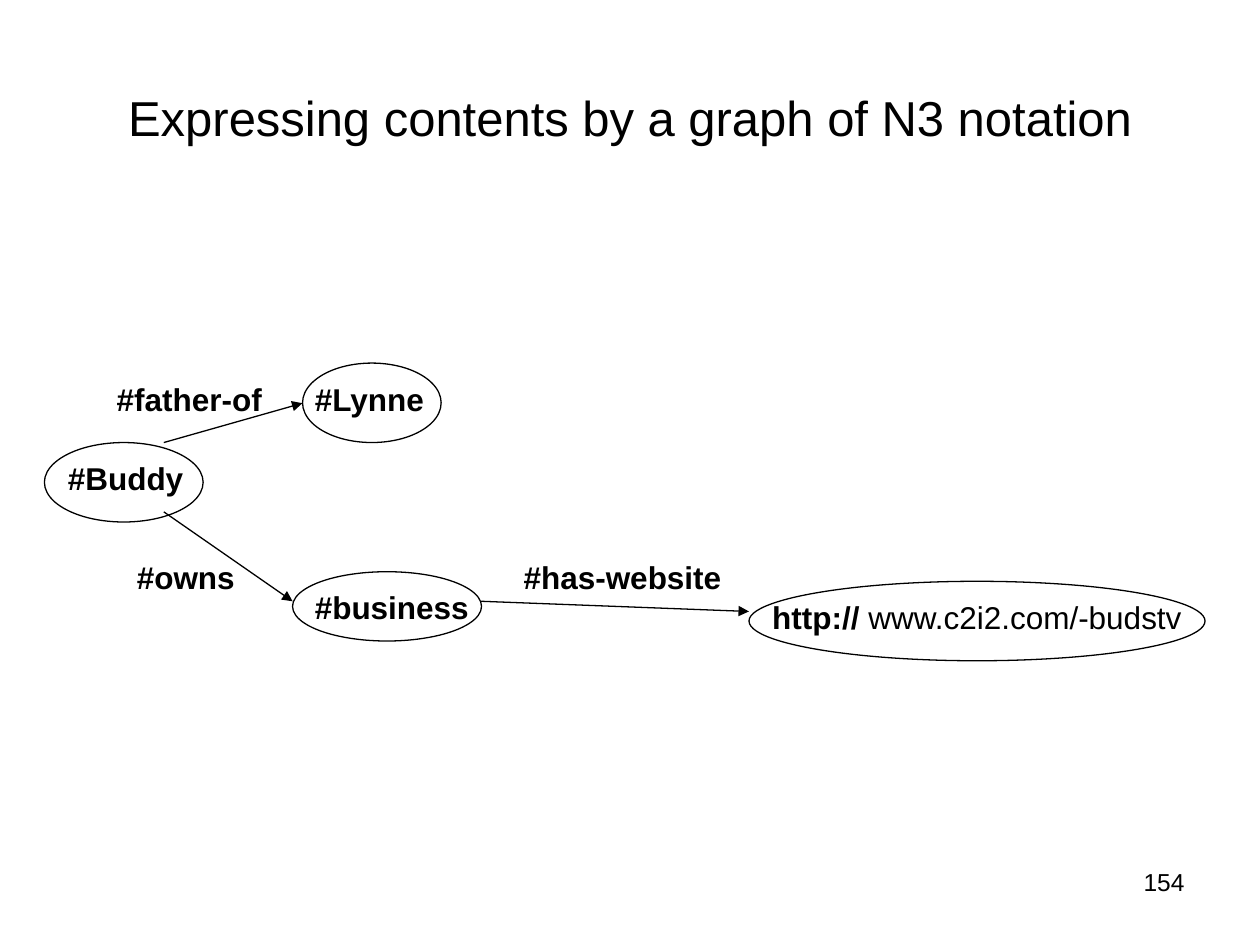
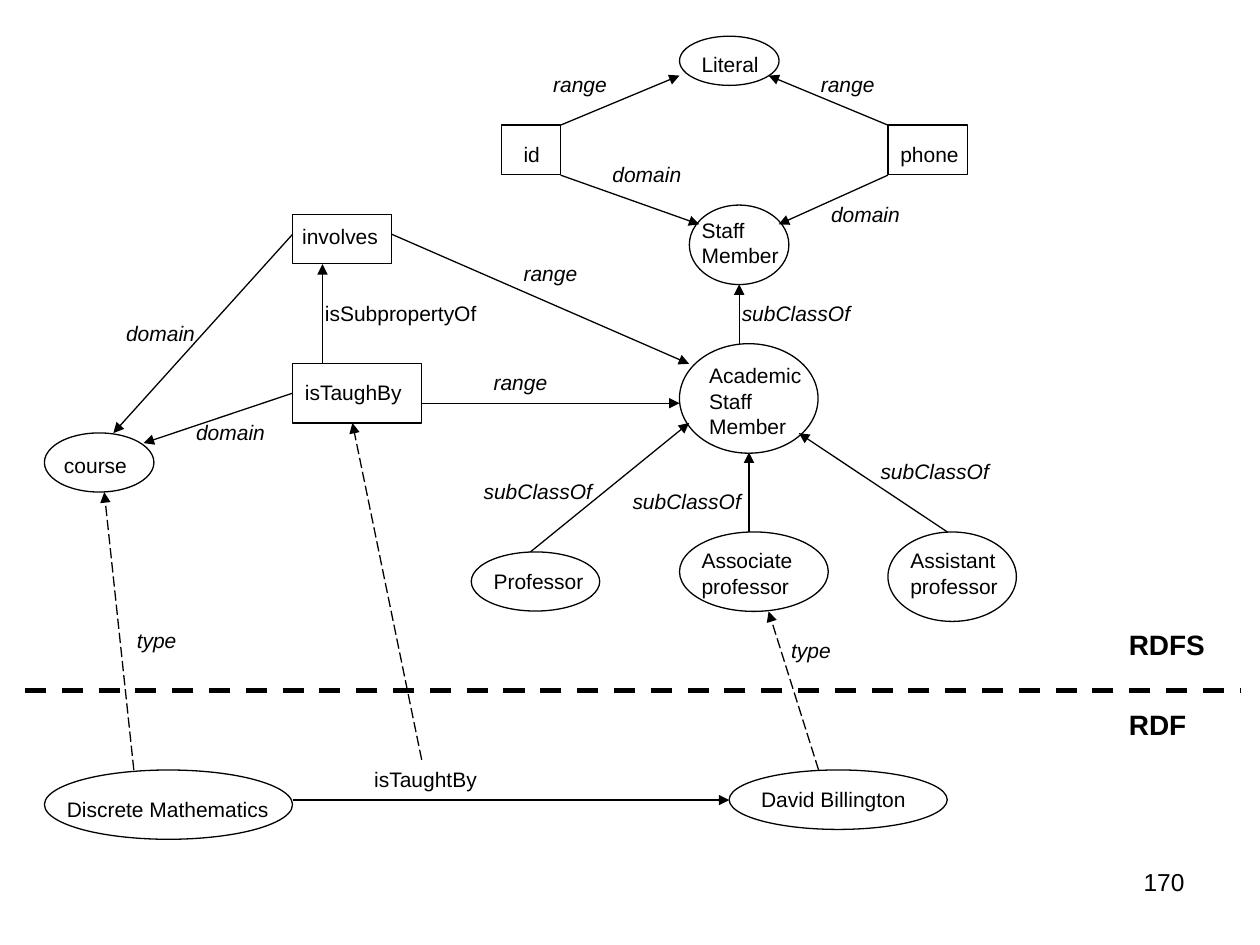
from lxml.etree import SubElement
from pptx import Presentation
from pptx.dml.color import RGBColor
from pptx.enum.dml import MSO_LINE
from pptx.enum.shapes import MSO_CONNECTOR, MSO_SHAPE
from pptx.enum.text import MSO_ANCHOR, MSO_AUTO_SIZE, PP_ALIGN
from pptx.oxml.ns import qn
from pptx.util import Pt

BLACK = RGBColor(0x00, 0x00, 0x00)
WHITE = RGBColor(0xFF, 0xFF, 0xFF)
FONT = "Arial"
THIN, THICK = 0.75, 3
OVAL, BOX = MSO_SHAPE.OVAL, MSO_SHAPE.RECTANGLE
DASH, LONG_DASH = MSO_LINE.DASH, MSO_LINE.LONG_DASH

NODE_STYLE = {"size": 12}
EDGE_STYLE = {"size": 12, "italic": True}
STATEMENT_STYLE = {"size": 18, "bold": True}
LAYER_STYLE = {"size": 16, "bold": True}

TITLE = "Expressing contents by a graph of N3 notation"

# Nodes: shape, (left, top, width, height), text, (text left, top, width)
STATEMENT_NODES = [
    (OVAL, (25.4, 252.9, 90.7, 45.4), "#Buddy", (31.7, 258.5, 79.9)),
    (OVAL, (172.9, 207.5, 79.2, 45.4), "#Lynne", (172.8, 213.4, 77.8)),
    (OVAL, (167.2, 326.7, 108, 39.6), "#business", (172.8, 332.6, 102.2)),
    (OVAL, (428, 332.2, 260.6, 45.4), "http:// ", (434.2, 338, 249.1)),
]
WEBSITE = "www.c2i2.com/-budstv"
# Labels: text, width, every (left, top)
STATEMENT_LABELS = [
    ("#father-of", 97.2, [(59.6, 213.4)]),
    ("#owns", 70.6, [(71.1, 315.4)]),
    ("#has-website", 127.4, [(292.1, 315.4)]),
]
# Arrows: start, end
STATEMENT_ARROWS = [
    ((93.6, 252.9), (172.8, 230.4)),
    ((93.6, 292.5), (167.2, 343.6)),
    ((275, 343.6), (428, 349.4)),
]

SCHEMA_NODES = [
    (OVAL, (388.3, 20.7, 56.9, 28.1), "Literal", (393.8, 26.1, 46.8)),
    (BOX, (286.4, 71.5, 33.8, 28.1), "id", (292.1, 77.2, 23.8)),
    (BOX, (507.4, 71.5, 45.4, 28.1), "phone", (507.4, 77.2, 47.5)),
    (OVAL, (393.9, 117.2, 56.9, 45.4), "Staff\nMember", (393.9, 120.8, 58.3)),
    (OVAL, (388.3, 196.4, 79.2, 62.6), "Academic\nStaff\nMember", (398.2, 203.8, 67)),
    (OVAL, (269.3, 315.4, 73.4, 33.8), "Professor", (275, 321.1, 65.5)),
    (OVAL, (388.3, 304, 85, 45.4), "Associate\nprofessor", (393.8, 309.6, 66.2)),
    (OVAL, (507.4, 304, 73.4, 51.1), "Assistant\nprofessor", (513.1, 309.6, 64.1)),
    (BOX, (167.2, 207.7, 73.7, 34), "isTaughBy", (167.2, 213.1, 71.3)),
    (BOX, (167.2, 122.5, 56.7, 28.3), "involves", (165.6, 124.4, 57.6)),
    (OVAL, (25.4, 247.4, 62.6, 33.8), "course", (29.5, 254.9, 50.4)),
    (OVAL, (25.4, 440, 141.8, 39.6), "Discrete Mathematics", (31.1, 451.4, 129.6)),
    (OVAL, (416.7, 440, 124.6, 34), "David Billington", (427.8, 445.7, 97.2)),
]
SCHEMA_EDGE_LABELS = [
    ("range", 44.6, [(462, 37.6), (309, 37.6), (292.1, 145.2), (275, 207.9)]),
    ("subClassOf", 76.3, [(416.8, 168), (496.1, 258.5), (269.3, 270), (354.4, 275.6)]),
    ("domain", 53.3, [(65, 179.5), (105, 236.2), (342.9, 88.7), (467.8, 111.4)]),
    ("type", 36.7, [(71.1, 355), (445, 360.7)]),
]
SCHEMA_PLAIN_LABELS = [
    ("isSubpropertyOf", 100.8, [(178.6, 168)]),
    ("isTaughtBy", 74.2, [(206.8, 434.2)]),
]
LAYER_LABELS = [("RDFS", 57.6, [(638, 355)]), ("RDF", 46.8, [(638, 400.5)])]
LAYER_BORDER = (14.3, 394.6), (708.5, 394.6)

SCHEMA_ARROWS = [
    ((507.4, 100.1), (445, 128.2)),
    ((507.4, 71.5), (439.2, 43.2)),
    ((320.4, 71.5), (388.3, 43.2)),
    ((320.4, 100.1), (399.6, 128.2)),
    ((422.4, 196.6), (422.4, 162.5)),
    ((167.2, 133.9), (64.8, 247.5)),
    ((223.9, 133.9), (393.8, 207.9)),
    ((241, 230.4), (388.3, 230.4)),
    ((303.1, 315.4), (393.8, 241.7)),
    ((428, 304), (428, 258.5)),
    ((541.4, 304), (456.5, 247.5)),
    ((184.3, 207.4), (184.3, 151)),
    ((167.2, 457.2), (416.7, 457.2)),
]
TYPE_ARROWS = [
    ((241, 434.2), (201.4, 241.7)),
    ((76.5, 440), (59.6, 281.3)),
    ((467.8, 440), (439.2, 349.4)),
]
TAUGHT_BY_TO_COURSE = (167.2, 224.7), (82.1, 253.2)


def points(values):
    return [Pt(value) for value in values]


def add_run(paragraph, text, size, **style):
    run = paragraph.add_run()
    run.text = text
    run.font.color.rgb = BLACK
    for name, value in {"name": FONT, "size": Pt(size), **style}.items():
        setattr(run.font, name, value)


def add_text(slide, text, bounds, style, **frame_format):
    """Write one paragraph for each line of text and return the frame."""
    frame = slide.shapes.add_textbox(*points(bounds)).text_frame
    alignment = frame_format.pop("alignment", PP_ALIGN.LEFT)
    for name, value in {"word_wrap": True, **frame_format}.items():
        setattr(frame, name, value)
    for index, line in enumerate(text.split("\n")):
        paragraph = frame.add_paragraph() if index else frame.paragraphs[0]
        paragraph.alignment = alignment
        add_run(paragraph, line, **style)
    return frame


def add_fitted_text(slide, text, left, top, width, style):
    """Write text in a box of its own height, with no right margin so that no word breaks."""
    height = 7.2 + 1.2 * style["size"] * len(text.split("\n"))
    return add_text(slide, text, (left, top, width, height), style,
                    margin_right=0, auto_size=MSO_AUTO_SIZE.SHAPE_TO_FIT_TEXT)


def set_line(line, width):
    line.color.rgb = BLACK
    line.width = Pt(width)


def add_nodes(slide, nodes, style):
    """Draw the nodes and return (shape, text frame) by text."""
    drawn = {}
    for kind, bounds, text, place in nodes:
        shape = slide.shapes.add_shape(kind, *points(bounds))
        shape.shadow.inherit = False
        shape.fill.background()
        set_line(shape.line, THIN)
        drawn[text] = shape, add_fitted_text(slide, text, *place, style)
    return drawn


def add_labels(slide, labels, style):
    for text, width, places in labels:
        for left, top in places:
            add_fitted_text(slide, text, left, top, width, style)


def add_line(slide, start, end, width=THIN, dash=None, arrow=True):
    connector = slide.shapes.add_connector(MSO_CONNECTOR.STRAIGHT, *points(start + end))
    set_line(connector.line, width)
    if dash:
        connector.line.dash_style = dash
    properties = connector._element.spPr
    if arrow:
        SubElement(properties.find(qn("a:ln")), qn("a:tailEnd"), type="triangle")
    SubElement(properties, qn("a:effectLst"))
    return connector


def add_numbered_slide(presentation, number):
    slide = presentation.slides.add_slide(presentation.slide_layouts[6])
    slide.background.fill.solid()
    slide.background.fill.fore_color.rgb = WHITE
    add_text(slide, str(number), (516.2, 491.8, 167.8, 37.4), {"size": 14},
             alignment=PP_ALIGN.RIGHT)
    return slide


def build_statement_slide(presentation):
    slide = add_numbered_slide(presentation, 154)
    add_text(slide, TITLE, (36, 21.6, 648, 90), {"size": 28},
             alignment=PP_ALIGN.CENTER, vertical_anchor=MSO_ANCHOR.MIDDLE)
    nodes = add_nodes(slide, STATEMENT_NODES, STATEMENT_STYLE)
    website_frame = nodes["http:// "][1]
    add_run(website_frame.paragraphs[0], WEBSITE, size=18, bold=False)
    add_labels(slide, STATEMENT_LABELS, STATEMENT_STYLE)
    for start, end in STATEMENT_ARROWS:
        add_line(slide, start, end)


def build_schema_slide(presentation):
    slide = add_numbered_slide(presentation, 170)
    nodes = add_nodes(slide, SCHEMA_NODES, NODE_STYLE)
    add_line(slide, *LAYER_BORDER, width=THICK, dash=DASH, arrow=False)
    for start, end in SCHEMA_ARROWS:
        add_line(slide, start, end)
    for start, end in TYPE_ARROWS:
        add_line(slide, start, end, dash=LONG_DASH)
    add_line(slide, *TAUGHT_BY_TO_COURSE).begin_connect(nodes["isTaughBy"][0], 1)
    add_labels(slide, SCHEMA_EDGE_LABELS, EDGE_STYLE)
    add_labels(slide, SCHEMA_PLAIN_LABELS, NODE_STYLE)
    add_labels(slide, LAYER_LABELS, LAYER_STYLE)


def main():
    presentation = Presentation()
    presentation.slide_width, presentation.slide_height = Pt(720), Pt(540)
    build_statement_slide(presentation)
    build_schema_slide(presentation)
    presentation.save("out.pptx")


if __name__ == "__main__":
    main()
